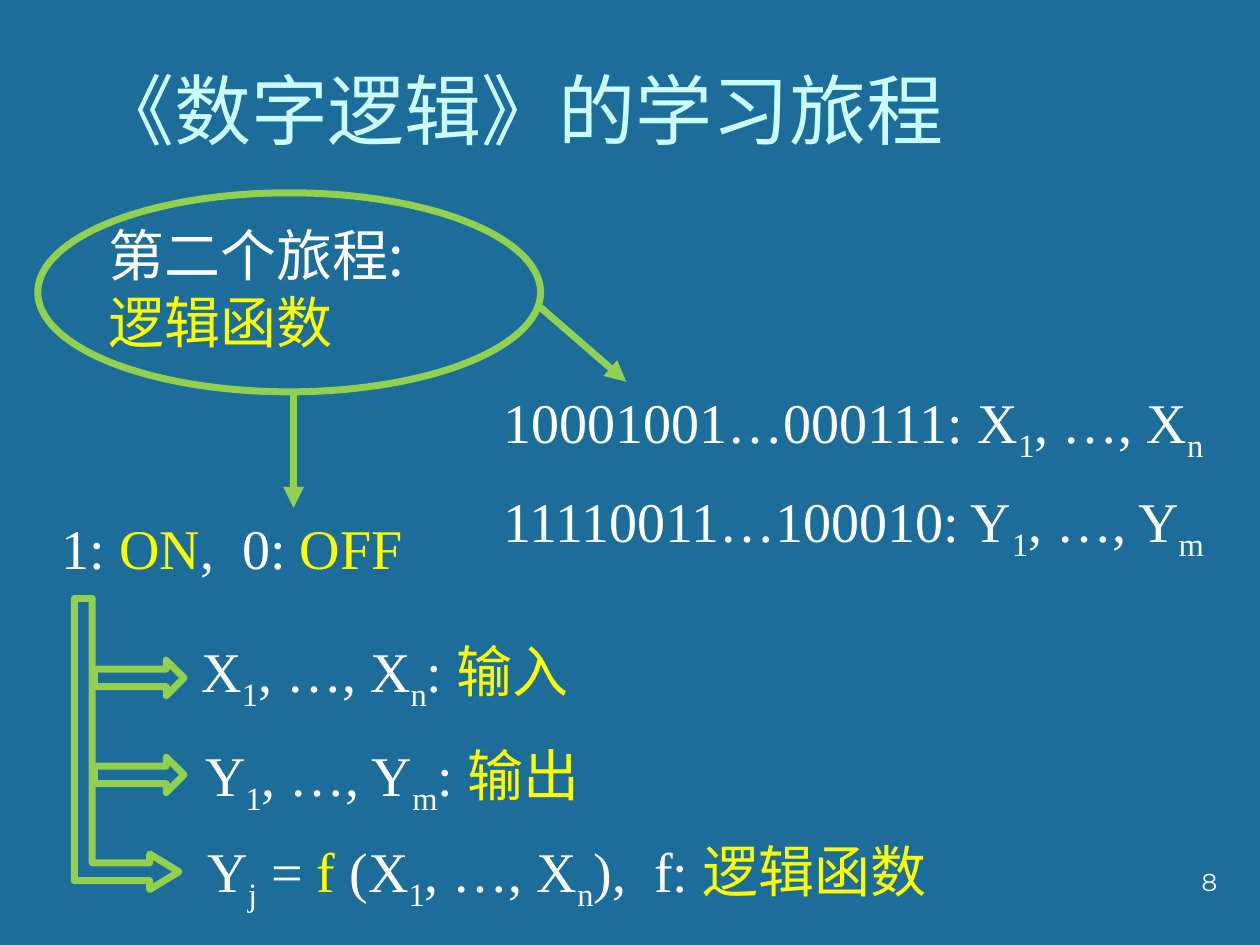
import pptx
import pptx.util
import pptx.dml.color
import pptx.enum.shapes
import pptx.enum.text
import pptx.oxml
import pptx.oxml.ns

Inches = pptx.util.Inches
SHAPES = pptx.enum.shapes.MSO_SHAPE
ALIGN = pptx.enum.text.PP_ALIGN
ANCHOR = pptx.enum.text.MSO_ANCHOR
CJK, SERIF, SANS = "Noto Sans CJK SC", "Times New Roman", "Montserrat"
WHITE, YELLOW, CYAN, GREEN = "FFFFFF", "FFFF00", "CCFFFF", "92D050"


def colour(value):
    return pptx.dml.color.RGBColor.from_string(value)


def write(box, lines, size=32, align=ALIGN.LEFT, anchor=ANCHOR.TOP):
    """Each line is a list of (text, font, colour); a leading _ means subscript."""
    frame = box.text_frame
    settings = {"word_wrap": True, "vertical_anchor": anchor,
                "auto_size": pptx.enum.text.MSO_AUTO_SIZE.NONE}
    for name, value in settings.items():
        setattr(frame, name, value)
    for number, line in enumerate(lines):
        para = frame.add_paragraph() if number else frame.paragraphs[0]
        para.alignment = align
        for text, face, shade in line:
            span = para.add_run()
            span.text = text.removeprefix("_")
            form = {"name": face, "size": pptx.util.Pt(size), "bold": False}
            for name, value in form.items():
                setattr(span.font, name, value)
            span.font.color.rgb = colour(shade)
            props = span._r.get_or_add_rPr()
            east = pptx.oxml.parse_xml(
                f'<a:ea {pptx.oxml.ns.nsdecls("a")} typeface="{face}"/>')
            props.find(pptx.oxml.ns.qn("a:latin")).addnext(east)
            if text.startswith("_"):
                props.set("baseline", "-25000")


deck = pptx.Presentation()
deck.slide_width, deck.slide_height = Inches(10), Inches(7.5)
page = deck.slides.add_slide(deck.slide_layouts[5])
page.background.fill.solid()
page.background.fill.fore_color.rgb = colour("1C6D9A")

# Title
title = page.shapes.title
place = {"left": 0.67, "top": 0.44, "width": 8.5, "height": 0.84}
for name, value in place.items():
    setattr(title, name, Inches(value))
write(title, [[("《数字逻辑》的学习旅程", CJK, CYAN)]], 44, anchor=ANCHOR.BOTTOM)

# Outlined ellipse and block arrows
outlines = [
    (SHAPES.OVAL, 0.3, 1.53, 3.99, 1.58),
    (SHAPES.RIGHT_ARROW, 0.75, 5.24, 0.71, 0.28),
    (SHAPES.RIGHT_ARROW, 0.75, 6.01, 0.71, 0.28),
    (SHAPES.BENT_UP_ARROW, -0.15, 5.49, 2.31, 0.83),
]
for kind, *place in outlines:
    shape = page.shapes.add_shape(kind, *map(Inches, place))
    shape.shadow.inherit = False
    shape.fill.background()
    shape.line.color.rgb = colour(GREEN)
    shape.line.width = pptx.util.Pt(4)
    if kind == SHAPES.BENT_UP_ARROW:
        shape.rotation = 90
        for index, value in enumerate((0.17, 0.17, 0.28)):
            shape.adjustments[index] = value

# Arrows leaving the ellipse
for ends in [(2.33, 3.1, 2.33, 4.03), (4.29, 2.44, 4.97, 3.03)]:
    arrow = page.shapes.add_connector(
        pptx.enum.shapes.MSO_CONNECTOR.STRAIGHT, *map(Inches, ends))
    arrow.line.color.rgb = colour(GREEN)
    arrow.line.width = pptx.util.Pt(4)
    arrow.line._get_or_add_ln().append(pptx.oxml.parse_xml(
        f'<a:tailEnd {pptx.oxml.ns.nsdecls("a")} type="triangle"/>'))
    arrow._element.spPr.append(pptx.oxml.parse_xml(
        f'<a:effectLst {pptx.oxml.ns.nsdecls("a")}/>'))

# Journey heading inside the ellipse
heading = page.shapes.add_textbox(*map(Inches, (0.76, 1.7, 3.7, 1.18)))
write(heading, [[("第二个旅程:", CJK, WHITE)], [("逻辑函数", CJK, YELLOW)]])

# Formula lines: * marks yellow, the rest is white
formulas = [
    (0.39, 4.03, 6.36, ["1: ", "*ON", ",  0: ", "*OFF"], ""),
    (3.9, 3.03, 6.41, ["10001001…000111: X", "_1", ", …, X", "_n"], ""),
    (3.9, 3.81, 6.14, ["11110011…100010: Y", "_1", ", …, Y", "_m"], ""),
    (1.5, 5, 9.41, ["X", "_1", ", …, X", "_n", ": "], "输入"),
    (1.53, 5.83, 9.41, ["Y", "_1", ", …, Y", "_m", ": "], "输出"),
    (1.55, 6.59, 9.41, ["Y", "_j", " = ", "*f", " (X", "_1", ", …, X", "_n",
                        "),  f: "], "逻辑函数"),
]
for left, top, width, parts, meaning in formulas:
    box = page.shapes.add_textbox(*map(Inches, (left, top, width, 0.64)))
    line = [(part.removeprefix("*"), SERIF,
             YELLOW if part.startswith("*") else WHITE) for part in parts]
    if meaning:
        line.append((meaning, CJK, YELLOW))
    write(box, [line])

# Page number
number_box = page.shapes.add_textbox(*map(Inches, (7.68, 6.83, 2.08, 0.5)))
write(number_box, [[("8", SANS, WHITE)]], 14, ALIGN.RIGHT)

deck.save("out.pptx")
